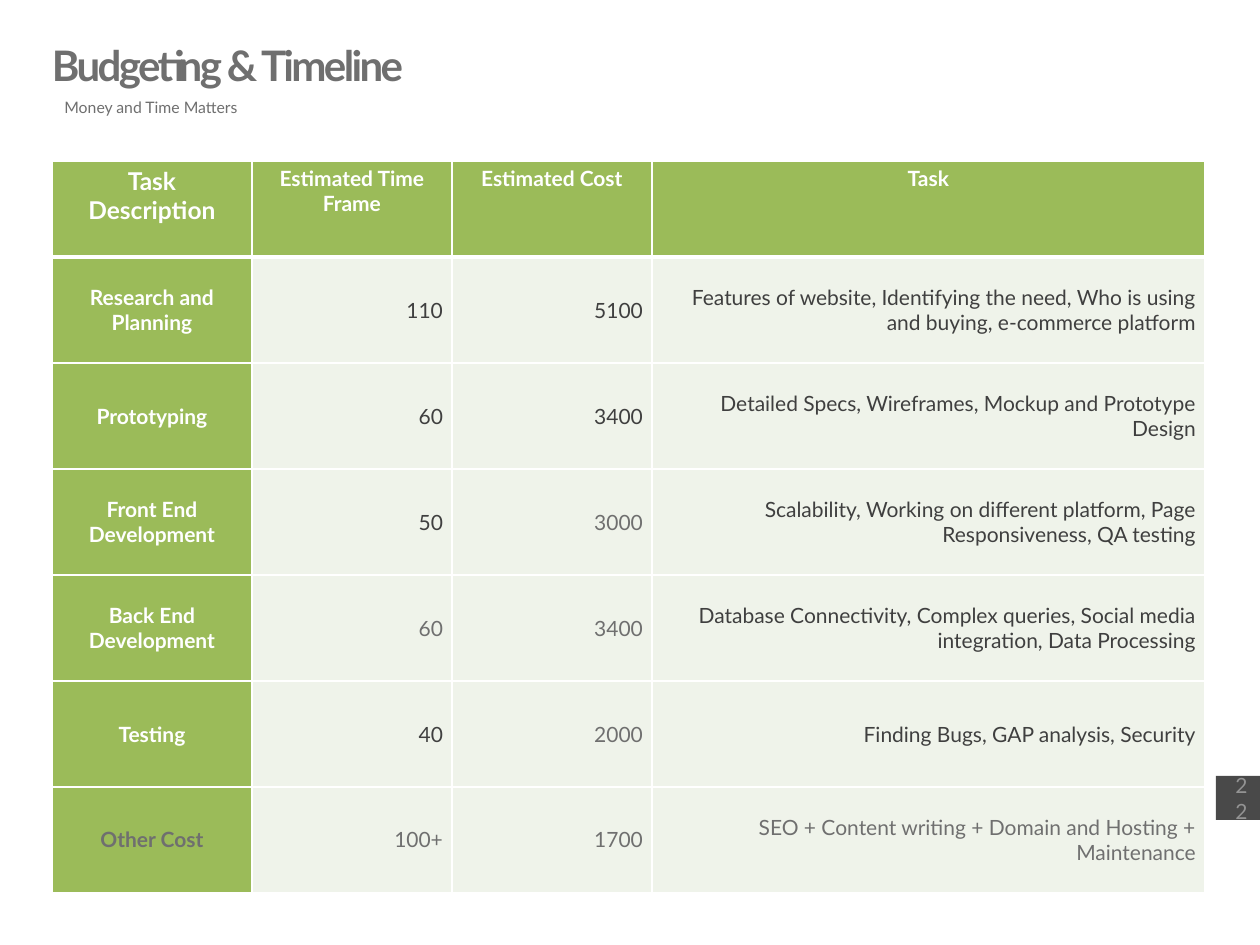
from lxml.etree import SubElement
from pptx import Presentation
from pptx.dml.color import RGBColor
from pptx.enum.shapes import MSO_SHAPE
from pptx.enum.text import MSO_ANCHOR, PP_ALIGN
from pptx.oxml import parse_xml
from pptx.oxml.ns import nsdecls, qn
from pptx.util import Pt

PX = 914400 / 126
FONT = "Lato"
COLORS = {
    "white": "FFFFFF", "green": "9BBB59", "pale": "EFF3EA", "dark": "3F3F3F",
    "muted": "6F6F6F", "badge": "494949", "number": "939393",
}

# Content
TITLE = "Budgeting & Timeline"
SUBTITLE = "Money and Time Matters"
PAGE_NUMBER = "22"
HEADER = ["Task\nDescription", "Estimated Time Frame", "Estimated Cost", "Task"]
ROWS = [
    ["Research and Planning", "110", "5100",
     "Features of website, Identifying the need, Who is using and buying, e-commerce platform"],
    ["Prototyping", "60", "3400",
     "Detailed Specs, Wireframes, Mockup and Prototype Design"],
    ["Front End Development", "50", "3000",
     "Scalability, Working on different platform, Page Responsiveness, QA testing"],
    ["Back End Development", "60", "3400",
     "Database Connectivity, Complex queries, Social media integration, Data Processing"],
    ["Testing", "40", "2000", "Finding Bugs, GAP analysis, Security"],
    ["Other Cost", "100+", "1700",
     "SEO + Content writing + Domain and Hosting + Maintenance"],
]
# (row, column) of the cells in muted grey
MUTED = {(3, 2), (4, 1), (4, 2), (5, 2), (6, 0), (6, 1), (6, 2), (6, 3)}

# Layout in px
LEFT, WIDTH = 52, 1153
TABLE_TOP, HEADER_HEIGHT, ROW_HEIGHT = 161, 96, 106
COLUMN_WIDTHS = [200, 200, 200, 553]
BADGE = (1216, 776, 44, 44)


def px(value):
    return round(value * PX)


def color(name):
    return RGBColor.from_string(COLORS[name])


def write(text_frame, text, size, color_name, bold=False, align=PP_ALIGN.LEFT):
    text_frame.word_wrap = True
    text_frame.text = text
    for paragraph in text_frame.paragraphs:
        paragraph.alignment = align
        for run in paragraph.runs:
            run.font.name = FONT
            run.font.size = Pt(size)
            run.font.bold = bold
            run.font.color.rgb = color(color_name)


def set_borders(cell, top, bottom):
    properties = cell._tc.get_or_add_tcPr()
    sides = {"lnL": 1, "lnR": 1, "lnT": top, "lnB": bottom}
    for index, (tag, points) in enumerate(sides.items()):
        line = parse_xml(f'<a:{tag} {nsdecls("a")} w="{Pt(points)}"/>')
        fill = SubElement(line, qn("a:solidFill"))
        SubElement(fill, qn("a:srgbClr"), val=COLORS["white"])
        properties.insert(index, line)


def add_text(slide, top, height, text, size, bold=False):
    box = slide.shapes.add_textbox(px(LEFT), px(top), px(WIDTH), px(height))
    write(box.text_frame, text, size, "muted", bold)
    box.text_frame.paragraphs[0].line_spacing = 0.9
    return box.text_frame


def add_budget_table(slide):
    height = HEADER_HEIGHT + ROW_HEIGHT * len(ROWS)
    table = slide.shapes.add_table(
        len(ROWS) + 1, len(HEADER), px(LEFT), px(TABLE_TOP), px(WIDTH), px(height)).table
    for column, width in zip(table.columns, COLUMN_WIDTHS):
        column.width = px(width)
    for r, texts in enumerate([HEADER] + ROWS):
        table.rows[r].height = px(HEADER_HEIGHT if r == 0 else ROW_HEIGHT)
        for c, text in enumerate(texts):
            cell = table.cell(r, c)
            heading = r == 0 or c == 0
            cell.margin_left = cell.margin_right = px(9)
            cell.margin_top = cell.margin_bottom = px(5)
            cell.vertical_anchor = MSO_ANCHOR.TOP if r == 0 else MSO_ANCHOR.MIDDLE
            cell.fill.solid()
            cell.fill.fore_color.rgb = color("green" if heading else "pale")
            ink = "muted" if (r, c) in MUTED else "white" if heading else "dark"
            write(cell.text_frame, text, 14 if r == c == 0 else 12, ink, heading,
                  PP_ALIGN.CENTER if heading else PP_ALIGN.RIGHT)
            set_borders(cell, 3 if r == 1 else 1, 3 if r == 0 else 1)


def main():
    presentation = Presentation()
    presentation.slide_width, presentation.slide_height = px(1260), px(945)
    slide = presentation.slides.add_slide(presentation.slide_layouts[6])

    add_budget_table(slide)

    # Page number badge
    badge = slide.shapes.add_shape(MSO_SHAPE.RECTANGLE, *map(px, BADGE))
    badge.shadow.inherit = False
    badge.fill.solid()
    badge.fill.fore_color.rgb = color("badge")
    badge.line.fill.background()
    badge.text_frame.vertical_anchor = MSO_ANCHOR.MIDDLE
    write(badge.text_frame, PAGE_NUMBER, 12, "number", align=PP_ALIGN.RIGHT)

    # Title and subtitle
    title = add_text(slide, 43, 50, TITLE, 24, bold=True)
    title.margin_left = title.margin_right = title.margin_top = title.margin_bottom = 0
    title.vertical_anchor = MSO_ANCHOR.MIDDLE
    title.paragraphs[0].runs[0].font._element.set("spc", "-150")
    subtitle = add_text(slide, 94, 57, SUBTITLE, 9)
    subtitle.paragraphs[0].space_before = Pt(10)

    presentation.save("out.pptx")


if __name__ == "__main__":
    main()
